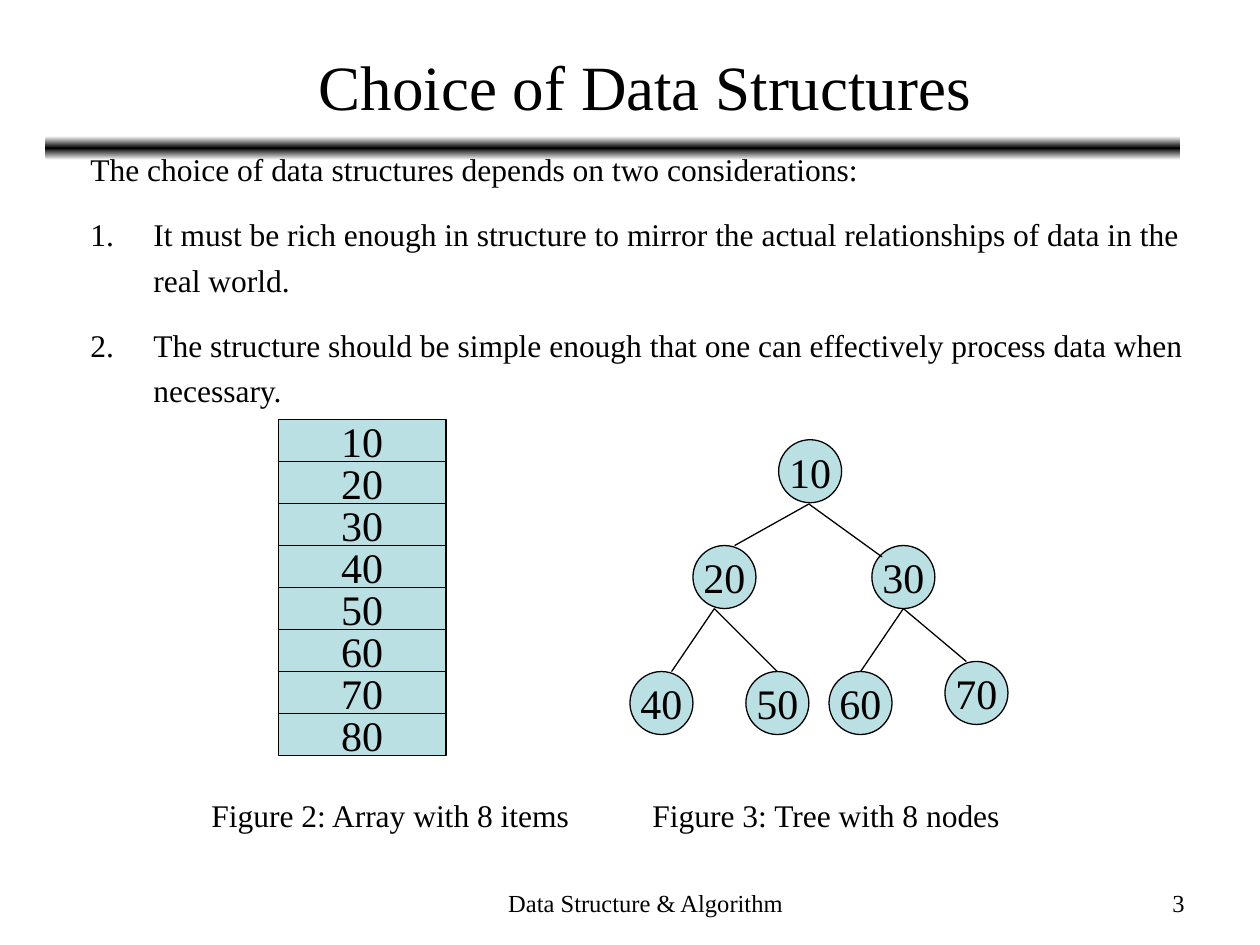
import pptx
import pptx.dml.color
import pptx.enum.shapes
import pptx.enum.text
import pptx.oxml
import pptx.oxml.ns
import pptx.util

Inches = pptx.util.Inches
Pt = pptx.util.Pt
KIND = pptx.enum.shapes.MSO_SHAPE
ALIGN = pptx.enum.text.PP_ALIGN
ANCHOR = pptx.enum.text.MSO_ANCHOR
FONT, INK, TINT = "Times New Roman", "000000", "BBE0E3"

TITLE = "Choice of Data Structures"
INTRO = "The choice of data structures depends on two considerations:"
POINTS = [
    "It must be rich enough in structure to mirror the actual "
    "relationships of data in the real world.",
    "The structure should be simple enough that one can effectively "
    "process data when necessary.",
]
ITEMS = range(10, 90, 10)
NODES = {10: (6.18, 3.49), 20: (5.5, 4.33), 30: (6.92, 4.33), 40: (5, 5.33),
         50: (5.92, 5.33), 60: (6.58, 5.33), 70: (7.5, 5.25)}
# Each fork: the parent's point, then the points of its two children
FORKS = [
    ((6.42, 4), (5.83, 4.33), (7, 4.42)),
    ((5.67, 4.83), (5.33, 5.33), (6.17, 5.33)),
    ((7.17, 4.83), (6.83, 5.33), (7.67, 5.25)),
]
CAPTIONS = [
    ("Figure 2: Array with 8 items", 1.58, 3.17),
    ("Figure 3: Tree with 8 nodes", 5.08, 3.58),
]
FOOTERS = [
    ("Data Structure & Algorithm", 3.42, 3.17, ALIGN.CENTER),
    ("3", 7.17, 2.33, ALIGN.RIGHT),
]


def color(text):
    return pptx.dml.color.RGBColor.from_string(text)


def apply(target, form):
    for name, value in form.items():
        setattr(target, name, value)


def indent(para, left, first=0):
    props = para._p.get_or_add_pPr()
    props.set("marL", str(Inches(left)))
    props.set("indent", str(Inches(first)))
    return props


def number(props):
    """Number a paragraph as 1., 2. and so on."""
    props.append(pptx.oxml.parse_xml(
        f'<a:buAutoNum {pptx.oxml.ns.nsdecls("a")} type="arabicPeriod"/>'))


def write(para, text, size, **form):
    para.text = text
    apply(para, form)
    apply(para.runs[0].font, {"name": FONT, "size": Pt(size)})
    para.runs[0].font.color.rgb = color(INK)


def box(slide, left, top, width, height):
    frame = slide.shapes.add_textbox(
        Inches(left), Inches(top), Inches(width), Inches(height)).text_frame
    frame.word_wrap = True
    return frame


def bar(slide):
    """Draw the rule under the title, fading from its middle to white."""
    shape = slide.shapes.add_shape(
        KIND.ROUNDED_RECTANGLE, Inches(0.36), Inches(1.08), Inches(9.01), Inches(0.19))
    shape.shadow.inherit = False
    shape.line.fill.background()
    shape.fill.gradient()
    shape.fill.gradient_angle = 270
    stops = "".join(
        f'<a:gs pos="{spot}"><a:srgbClr val="{tone}"/></a:gs>'
        for spot, tone in [(0, "FFFFFF"), (50000, INK), (100000, "FFFFFF")])
    old = shape._element.spPr.find(".//" + pptx.oxml.ns.qn("a:gsLst"))
    old.getparent().replace(old, pptx.oxml.parse_xml(
        f'<a:gsLst {pptx.oxml.ns.nsdecls("a")}>{stops}</a:gsLst>'))


def cell(shapes, kind, value, left, top, width, height):
    """Draw one tinted shape that holds a value."""
    shape = shapes.add_shape(
        kind, Inches(left), Inches(top), Inches(width), Inches(height))
    shape.shadow.inherit = False
    shape.fill.solid()
    shape.fill.fore_color.rgb = color(TINT)
    shape.line.color.rgb = color(INK)
    shape.line.width = Pt(0.75)
    frame = shape.text_frame
    apply(frame, {"word_wrap": False, "vertical_anchor": ANCHOR.MIDDLE})
    write(frame.paragraphs[0], str(value), 24, alignment=ALIGN.CENTER)


def edge(slide, start, end):
    line = slide.shapes.add_connector(
        pptx.enum.shapes.MSO_CONNECTOR.STRAIGHT,
        *[Inches(n) for n in (*start, *end)])
    line.line.color.rgb = color(INK)
    line.line.width = Pt(0.75)
    line._element.spPr.append(pptx.oxml.parse_xml(
        f'<a:effectLst {pptx.oxml.ns.nsdecls("a")}/>'))


def body(slide):
    frame = box(slide, 0.62, 0.21, 9, 3.61)
    head = frame.paragraphs[0]
    indent(head, 0.5, -0.5)
    write(head, TITLE, 36, alignment=ALIGN.CENTER, line_spacing=1.2)
    for text in [INTRO, *POINTS]:
        para = frame.add_paragraph()
        props = indent(para, 0.5, -0.5)
        if text in POINTS:
            number(props)
        write(para, text, 18, line_spacing=1.2, space_before=Pt(11.2))


def array(slide):
    group = slide.shapes.add_group_shape()
    step = 1 / 3
    for row, value in enumerate(ITEMS):
        cell(group.shapes, KIND.RECTANGLE, value, 2.21, 3.33 + row * step, 1.33, step)


def tree(slide):
    for value, (left, top) in NODES.items():
        cell(slide.shapes, KIND.OVAL, value, left, top, 0.5, 0.5)
    for start, *ends in FORKS:
        for end in ends:
            edge(slide, start, end)


def main():
    deck = pptx.Presentation()
    apply(deck, {"slide_width": Inches(10), "slide_height": Inches(7.5)})
    slide = deck.slides.add_slide(deck.slide_layouts[6])
    bar(slide)
    body(slide)
    array(slide)
    tree(slide)
    for text, left, width in CAPTIONS:
        write(box(slide, left, 6.27, width, 0.4).paragraphs[0], text, 18)
    for text, left, width, side in FOOTERS:
        para = box(slide, left, 7, width, 0.35).paragraphs[0]
        indent(para, 0.24)
        write(para, text, 14, alignment=side)
    deck.save("out.pptx")


if __name__ == "__main__":
    main()
